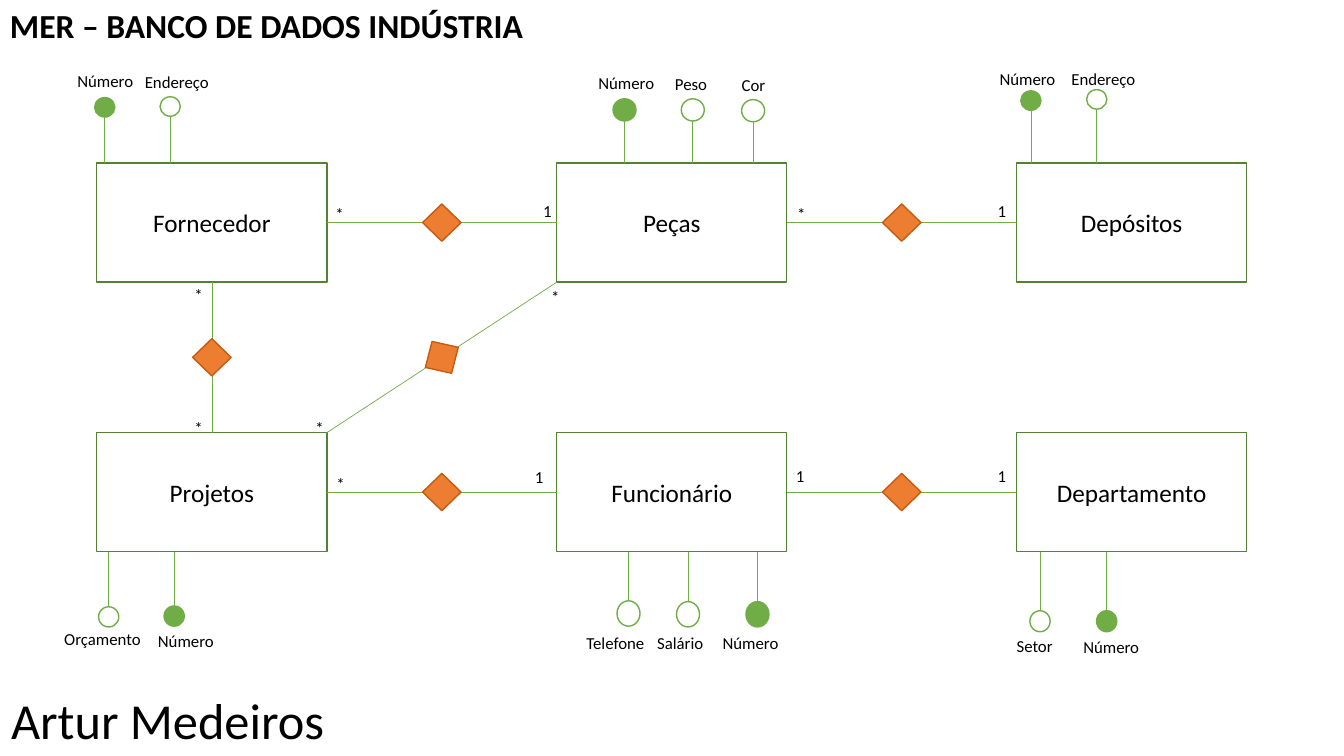
from lxml import etree
from pptx import Presentation
from pptx.dml.color import RGBColor
from pptx.enum.shapes import MSO_CONNECTOR, MSO_SHAPE
from pptx.enum.text import MSO_ANCHOR, PP_ALIGN
from pptx.oxml.ns import qn
from pptx.util import Cm, Pt

STRAIGHT = MSO_CONNECTOR.STRAIGHT
RECTANGLE, DIAMOND, OVAL = MSO_SHAPE.RECTANGLE, MSO_SHAPE.DIAMOND, MSO_SHAPE.OVAL
MIDDLE, CENTER = MSO_ANCHOR.MIDDLE, PP_ALIGN.CENTER

FONT = "Calibri"
COLORS = {
    "text": "000000",
    "white": "FFFFFF",
    "entity_line": "548235",
    "attribute": "70AD47",
    "relationship": "ED7D31",
    "relationship_line": "C55A11",
}

HEADINGS = [
    ("MER – BANCO DE DADOS INDÚSTRIA", 0, 0, 14.17, 1.27, 24, True),
    ("Artur Medeiros", 0.03, 17.25, 9.02, 1.8, 36, False),
]

ENTITY_GRID = [
    ["Fornecedor", "Peças", "Depósitos"],
    ["Projetos", "Funcionário", "Departamento"],
]
GRID_LEFT, GRID_TOP = 2.44, 4.11
COLUMN_STEP, ROW_STEP = 11.59, 6.79
ENTITY_WIDTH, ENTITY_HEIGHT = 5.8, 3.0

# name, is key, centre x, circle top, label left, label top
ATTRIBUTES = {
    "Fornecedor": ((0.51, 0.49), [
        ("Número", True, 2.64, 2.46, 1.7, 1.65),
        ("Endereço", False, 4.29, 2.44, 3.4, 1.68)]),
    "Peças": ((0.58, 0.56), [
        ("Número", True, 15.74, 2.49, 14.83, 1.7),
        ("Peso", False, 17.46, 2.49, 16.76, 1.73),
        ("Cor", False, 18.98, 2.51, 18.44, 1.75)]),
    "Depósitos": ((0.51, 0.49), [
        ("Número", True, 25.98, 2.29, 24.94, 1.6),
        ("Endereço", False, 27.64, 2.26, 26.75, 1.6)]),
    "Projetos": ((0.51, 0.51), [
        ("Orçamento", False, 2.74, 15.29, 1.37, 15.72),
        ("Número", True, 4.39, 15.27, 3.73, 15.77)]),
    "Funcionário": ((0.58, 0.64), [
        ("Telefone", False, 15.84, 15.14, 14.53, 15.82),
        ("Salário", False, 17.34, 15.16, 16.31, 15.82),
        ("Número", True, 19.09, 15.16, 17.96, 15.82)]),
    "Departamento": ((0.51, 0.53), [
        ("Setor", False, 26.21, 15.39, 25.37, 15.9),
        ("Número", True, 27.89, 15.39, 27.05, 15.93)]),
}

TOP, LEFT, BOTTOM, RIGHT = (0.5, 0), (0, 0.5), (0.5, 1), (1, 0.5)
BOTTOM_LEFT, TOP_RIGHT = (0, 1), (1, 0)
SITES = {TOP: 0, LEFT: 1, BOTTOM: 2, RIGHT: 3}

RELATIONSHIPS = [
    ("Fornecedor", RIGHT, "Peças", LEFT, 0,
     [("*", 8.2, 5), ("1", 13.44, 4.93)]),
    ("Peças", RIGHT, "Depósitos", LEFT, 0,
     [("*", 19.84, 5), ("1", 24.89, 4.93)]),
    ("Fornecedor", BOTTOM, "Projetos", TOP, 0,
     [("*", 4.65, 7.06), ("*", 4.65, 10.39)]),
    ("Projetos", TOP_RIGHT, "Peças", BOTTOM_LEFT, 328.5,
     [("*", 7.7, 10.39), ("*", 13.64, 7.11)]),
    ("Projetos", RIGHT, "Funcionário", LEFT, 0,
     [("*", 8.23, 11.81), ("1", 13.23, 11.63)]),
    ("Funcionário", RIGHT, "Departamento", LEFT, 0,
     [("1", 19.81, 11.61), ("1", 24.89, 11.61)]),
]
DIAMOND_WIDTH, DIAMOND_HEIGHT = 0.97, 0.94


def color(name):
    return RGBColor.from_string(COLORS[name])


def add_run(paragraph, text, size, bold=False):
    run = paragraph.add_run()
    run.text = text
    run.font.name = FONT
    run.font.size = Pt(size)
    run.font.bold = bold
    run.font.color.rgb = color("text")


def add_text(text, left, top, width, height, size=12, bold=False):
    box = slide.shapes.add_textbox(Cm(left), Cm(top), Cm(width), Cm(height))
    box.text_frame.word_wrap = True
    add_run(box.text_frame.paragraphs[0], text, size, bold)


def add_figure(kind, left, top, width, height, fill, line):
    shape = slide.shapes.add_shape(kind, Cm(left), Cm(top), Cm(width), Cm(height))
    shape.shadow.inherit = False
    shape.fill.solid()
    shape.fill.fore_color.rgb = color(fill)
    shape.line.color.rgb = color(line)
    shape.line.width = Pt(1)
    return shape


def add_line(start, end):
    points = [Cm(value) for value in (*start, *end)]
    connector = slide.shapes.add_connector(STRAIGHT, *points)
    connector.line.color.rgb = color("attribute")
    connector.line.width = Pt(0.5)
    etree.SubElement(connector.element.spPr, qn("a:effectLst"))
    return connector


def anchor_point(entity, anchor):
    left, top = corners[entity]
    return left + anchor[0] * ENTITY_WIDTH, top + anchor[1] * ENTITY_HEIGHT


presentation = Presentation()
presentation.slide_width, presentation.slide_height = Cm(33.87), Cm(19.05)
slide = presentation.slides.add_slide(presentation.slide_layouts[6])

for heading in HEADINGS:
    add_text(*heading)

corners, entities = {}, {}
for row, names in enumerate(ENTITY_GRID):
    for column, name in enumerate(names):
        corner = GRID_LEFT + column * COLUMN_STEP, GRID_TOP + row * ROW_STEP
        entity = add_figure(RECTANGLE, *corner, ENTITY_WIDTH, ENTITY_HEIGHT,
                            "white", "entity_line")
        entity.text_frame.vertical_anchor = MIDDLE
        paragraph = entity.text_frame.paragraphs[0]
        paragraph.alignment = CENTER
        add_run(paragraph, name, 18)
        corners[name], entities[name] = corner, entity

for source, source_anchor, target, target_anchor, rotation, labels in RELATIONSHIPS:
    start = anchor_point(source, source_anchor)
    end = anchor_point(target, target_anchor)
    connector = add_line(start, end)
    if source_anchor in SITES:
        connector.begin_connect(entities[source], SITES[source_anchor])
        connector.end_connect(entities[target], SITES[target_anchor])
    diamond = add_figure(DIAMOND, (start[0] + end[0] - DIAMOND_WIDTH) / 2,
                         (start[1] + end[1] - DIAMOND_HEIGHT) / 2,
                         DIAMOND_WIDTH, DIAMOND_HEIGHT,
                         "relationship", "relationship_line")
    diamond.rotation = rotation
    for text, left, top in labels:
        add_text(text, left, top, 1.07, 0.76)

for name, ((width, height), attributes) in ATTRIBUTES.items():
    entity_top = corners[name][1]
    for text, is_key, center, top, label_left, label_top in attributes:
        if top < entity_top:
            stem_start, stem_end = top + height, entity_top
        else:
            stem_start, stem_end = top, entity_top + ENTITY_HEIGHT
        add_line((center, stem_start), (center, stem_end))
        add_figure(OVAL, center - width / 2, top, width, height,
                   "attribute" if is_key else "white", "attribute")
        add_text(text, label_left, label_top, 2.77, 0.76)

presentation.save("out.pptx")
